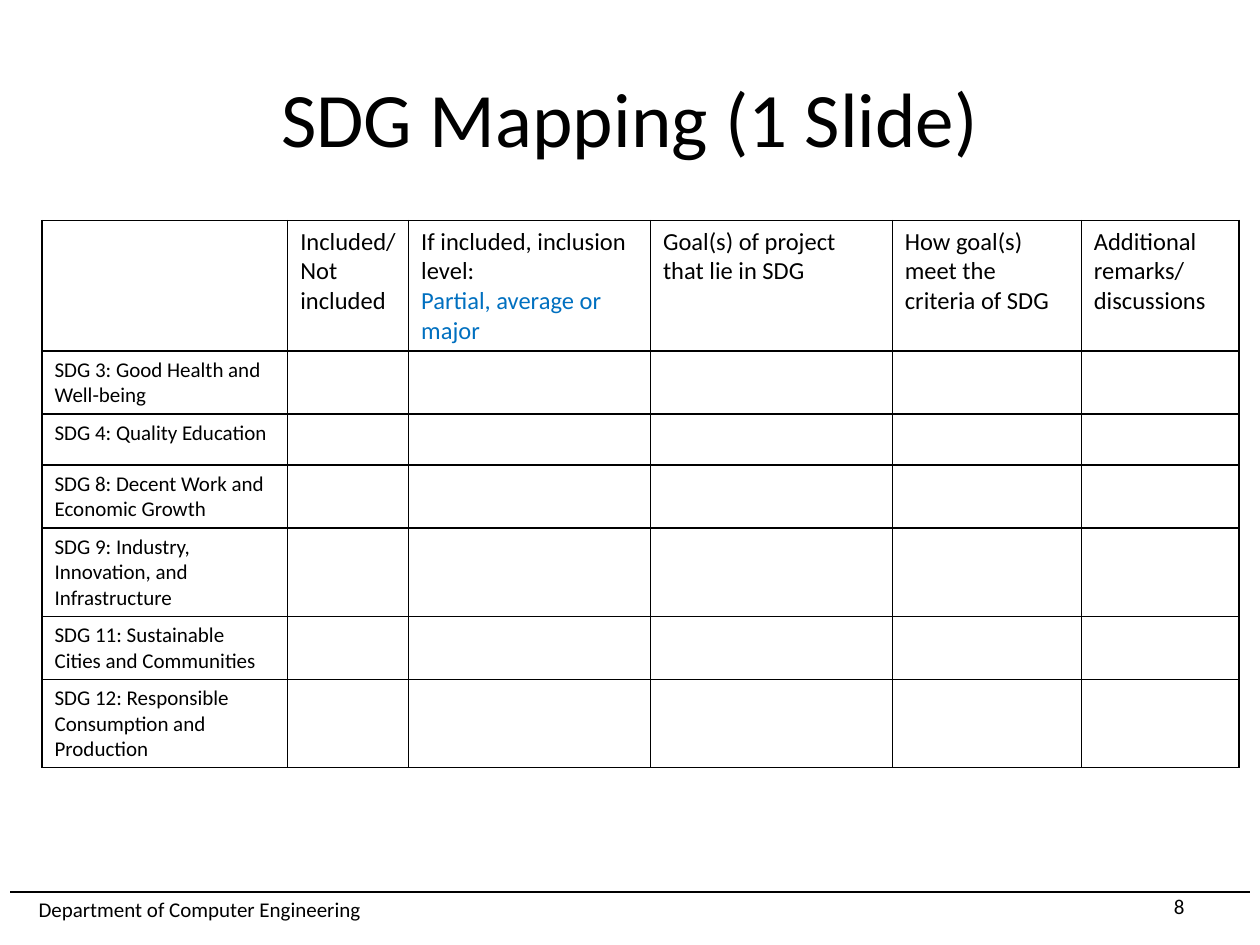
from lxml.etree import SubElement
from pptx import Presentation
from pptx.dml.color import RGBColor
from pptx.enum.shapes import MSO_CONNECTOR
from pptx.enum.text import MSO_ANCHOR, PP_ALIGN
from pptx.oxml.ns import qn
from pptx.util import Pt

BLACK, BLUE, WHITE = "000000", "0070C0", "FFFFFF"
HEADS = [
    "",
    "Included/ Not included",
    [("If included, inclusion level:", BLACK), ("Partial, average or major", BLUE)],
    "Goal(s) of project that lie in SDG",
    "How goal(s) meet the criteria of SDG",
    "Additional remarks/ discussions",
]
GOALS = [
    "SDG 3: Good Health and Well-being",
    "SDG 4: Quality Education",
    "SDG 8: Decent Work and Economic Growth",
    "SDG 9: Industry, Innovation, and Infrastructure",
    "SDG 11: Sustainable Cities and Communities",
    "SDG 12: Responsible Consumption and Production",
]
WIDTHS = [140.4, 69.1, 138.2, 138.2, 108, 90]


def color(code):
    return RGBColor.from_string(code)


def write(frame, text, size=12, align=PP_ALIGN.LEFT, font="Calibri"):
    lines = [(text, BLACK)] if isinstance(text, str) else text
    for i, (line, ink) in enumerate(lines):
        para = frame.add_paragraph() if i else frame.paragraphs[0]
        para.alignment = align
        run = para.add_run()
        run.text = line
        run.font.name = font
        run.font.size = Pt(size)
        run.font.color.rgb = color(ink)


class Deck:
    def __init__(self):
        self.show = Presentation()
        self.show.slide_width, self.show.slide_height = Pt(720), Pt(540)
        self.slide = self.show.slides.add_slide(self.show.slide_layouts[5])
        self.slide.background.fill.solid()
        self.slide.background.fill.fore_color.rgb = color(WHITE)

    def title(self, text, x, y, w, h):
        shape = self.slide.shapes.title
        shape.left, shape.top, shape.width, shape.height = map(Pt, (x, y, w, h))
        shape.text_frame.vertical_anchor = MSO_ANCHOR.MIDDLE
        write(shape.text_frame, text, size=44, align=PP_ALIGN.CENTER)

    def label(self, text, x, y, w, h, anchor=MSO_ANCHOR.TOP, wrap=True, **style):
        frame = self.slide.shapes.add_textbox(*map(Pt, (x, y, w, h))).text_frame
        frame.word_wrap = wrap
        frame.vertical_anchor = anchor
        write(frame, text, **style)

    def rule(self, x, y, end):
        line = self.slide.shapes.add_connector(
            MSO_CONNECTOR.STRAIGHT, Pt(x), Pt(y), Pt(end), Pt(y))
        line.line.color.rgb = color(BLACK)
        line.line.width = Pt(0.75)
        SubElement(line._element.spPr, qn("a:effectLst"))

    def edge(self, cell):
        props = cell._tc.get_or_add_tcPr()
        for i, side in enumerate(("lnL", "lnR", "lnT", "lnB")):
            line = props.makeelement(qn("a:" + side), {"w": str(Pt(1))})
            fill = SubElement(line, qn("a:solidFill"))
            SubElement(fill, qn("a:srgbClr"), val=BLACK)
            props.insert(i, line)

    def table(self, rows, x, y, widths, high):
        table = self.slide.shapes.add_table(
            len(rows), len(widths), Pt(x), Pt(y),
            Pt(sum(widths)), Pt(high * len(rows))).table
        table.first_row = table.horz_banding = False
        for col, width in zip(table.columns, widths):
            col.width = Pt(width)
        for r, row in enumerate(rows):
            for c, text in enumerate(row):
                cell = table.cell(r, c)
                cell.fill.background()
                self.edge(cell)
                if text:
                    write(cell.text_frame, text, size=12 if r else 14)


def main():
    deck = Deck()
    deck.rule(5.76, 509.8, 714.24)
    deck.label("Department of Computer Engineering", 15, 508.5, 200, 21.8, wrap=False)
    deck.title("SDG Mapping (1 Slide)", 36, 21.6, 648, 90)
    deck.label("8", 516, 503.5, 168, 28.8, anchor=MSO_ANCHOR.MIDDLE,
               align=PP_ALIGN.RIGHT)
    blank = [""] * (len(WIDTHS) - 1)
    deck.table([HEADS] + [[goal] + blank for goal in GOALS], 24, 126, WIDTHS, 29.2)
    deck.show.save("out.pptx")


if __name__ == "__main__":
    main()
